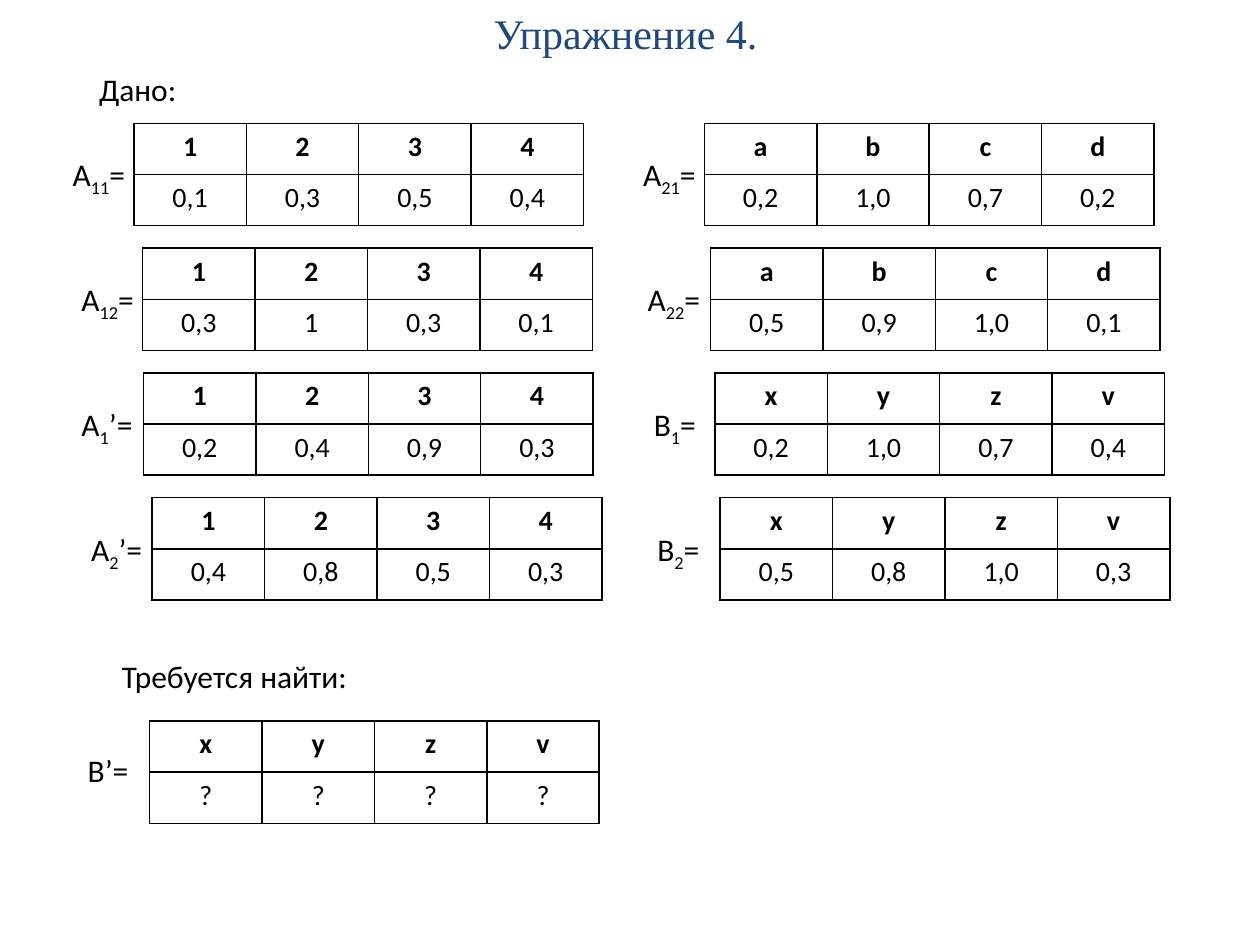
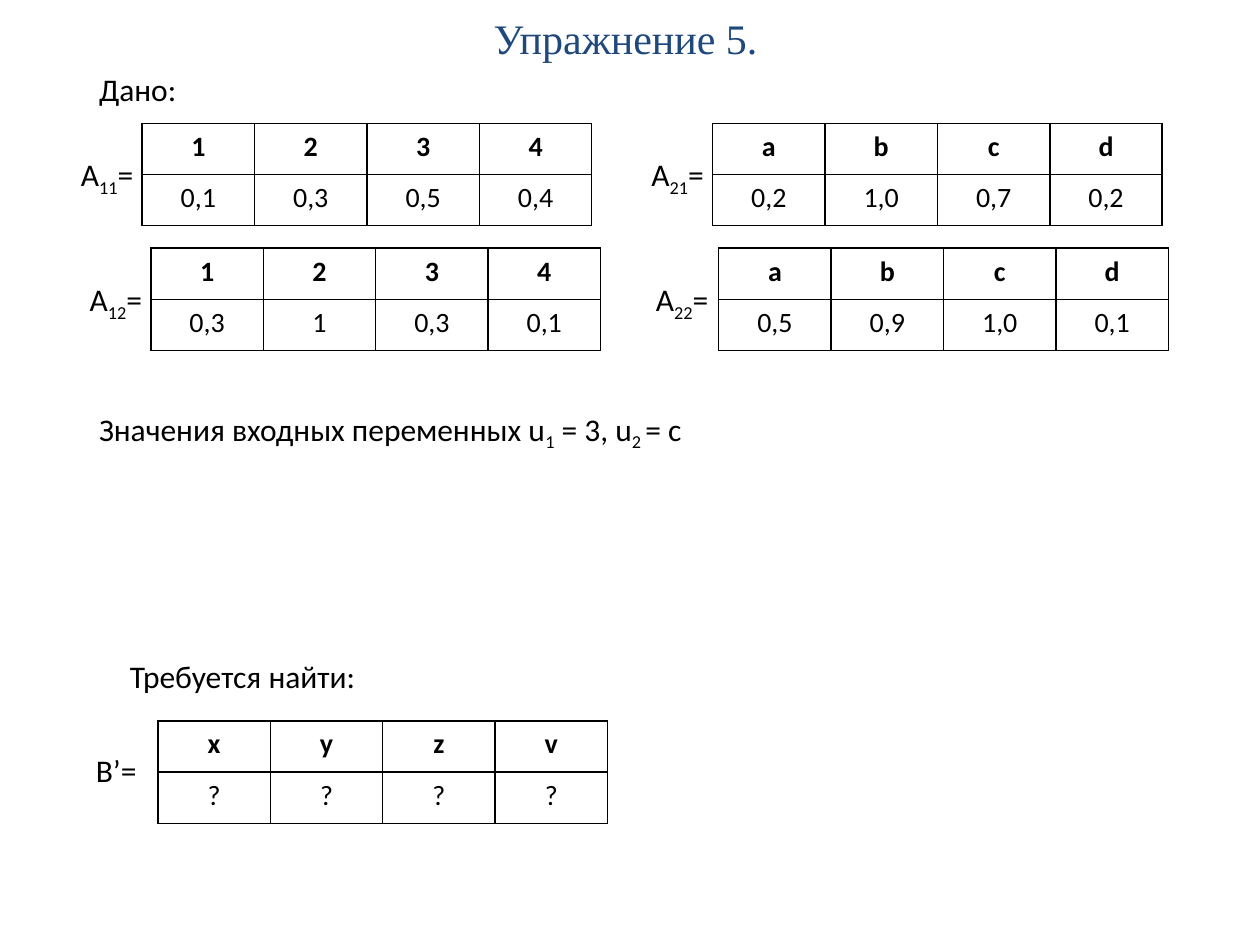
from pptx import Presentation
from pptx.dml.color import RGBColor
from pptx.enum.text import MSO_ANCHOR, MSO_AUTO_SIZE, PP_ALIGN
from pptx.oxml import parse_xml
from pptx.oxml.ns import nsdecls
from pptx.util import Pt

BLACK = RGBColor(0x00, 0x00, 0x00)
WHITE = RGBColor(0xFF, 0xFF, 0xFF)
NAVY = RGBColor(0x1F, 0x49, 0x7D)
BODY_FONT, TITLE_FONT = "Calibri", "Times New Roman"

NUMBERS, LETTERS, OUTPUTS = "1234", "abcd", "xyzv"

# Fuzzy sets: grid row, label, label left, label width, table left, elements, grades.
# Text between underscores is subscript.
RULE_INPUTS = [
    (0, "А_11_=", 34.5, 47, 76.5, NUMBERS, ("0,1", "0,3", "0,5", "0,4")),
    (1, "А_12_=", 39.5, 47, 81.5, NUMBERS, ("0,3", "1", "0,3", "0,1")),
    (0, "A_21_=", 360.5, 47, 402.5, LETTERS, ("0,2", "1,0", "0,7", "0,2")),
    (1, "A_22_=", 363, 47, 406, LETTERS, ("0,5", "0,9", "1,0", "0,1")),
]
FACTS_AND_OUTPUTS = [
    (2, "А_1_’=", 39.5, 45, 82, NUMBERS, ("0,2", "0,4", "0,9", "0,3")),
    (3, "А_2_’=", 45, 45, 87, NUMBERS, ("0,4", "0,8", "0,5", "0,3")),
    (2, "B_1_=", 366.5, 40, 408.5, OUTPUTS, ("0,2", "1,0", "0,7", "0,4")),
    (3, "B_2_=", 368.5, 40, 411.5, OUTPUTS, ("0,5", "0,8", "1,0", "0,3")),
]
UNKNOWN_LABEL, UNKNOWN_GRADES = "B’=", "????"
INPUT_VALUES = "Значения входных переменных u_1_ = 3, u_2 _= c"

# Title, title top and height, shift of the sets to the right, sets, note on inputs.
EXERCISES = [
    ("Упражнение 4. ", 0, 37.5, 0, RULE_INPUTS + FACTS_AND_OUTPUTS, None),
    ("Упражнение 5. ", -0.5, 44, 4.7, RULE_INPUTS, INPUT_VALUES),
]

GRID_TOP, ROW_PITCH = 70.5, 71.3
LABEL_DROP = 14.7
UNKNOWN_TOP = 412
CELL_W, CELL_H = 64.25, 29.25
TEXT_H = 29


def style(font, size, color=BLACK, name=BODY_FONT, bold=False):
    font.name, font.size, font.bold = name, Pt(size), bold
    font.color.rgb = color


def add_text(slide, text, left, top, width, wrap=False):
    """Add a line of text in which parts between underscores are subscript."""
    sp = slide.shapes.add_textbox(Pt(left), Pt(top), Pt(width), Pt(TEXT_H))
    tf = sp.text_frame
    tf.word_wrap = wrap
    tf.auto_size = MSO_AUTO_SIZE.SHAPE_TO_FIT_TEXT
    p = tf.paragraphs[0]
    style(p.font, 18)
    for i, part in enumerate(text.split("_")):
        r = p.add_run()
        r.text = part
        if i % 2:
            r.font._element.set("baseline", "-25000")


def add_borders(cell):
    tc_pr = cell._tc.get_or_add_tcPr()
    for i, side in enumerate(("lnL", "lnR", "lnT", "lnB")):
        tc_pr.insert(i, parse_xml(
            f'<a:{side} {nsdecls("a")} w="{Pt(1)}"><a:solidFill>'
            f'<a:srgbClr val="{BLACK}"/></a:solidFill></a:{side}>'))


def add_set_table(slide, left, top, elements, grades):
    rows = (elements, grades)
    frame = slide.shapes.add_table(len(rows), len(elements), Pt(left), Pt(top),
                                   Pt(CELL_W * len(elements)), Pt(CELL_H * len(rows)))
    table = frame.table
    table.first_row = table.horz_banding = False
    for i, values in enumerate(rows):
        table.rows[i].height = Pt(CELL_H)
        for j, value in enumerate(values):
            table.columns[j].width = Pt(CELL_W)
            cell = table.cell(i, j)
            cell.text = value
            cell.fill.solid()
            cell.fill.fore_color.rgb = WHITE
            add_borders(cell)
            p = cell.text_frame.paragraphs[0]
            p.alignment = PP_ALIGN.CENTER
            style(p.font, 16, bold=i == 0)


def add_title(slide, text, top, height):
    sp = slide.shapes.title
    sp.left, sp.top, sp.width, sp.height = Pt(36.5), Pt(top), Pt(648), Pt(height)
    tf = sp.text_frame
    tf.text = text
    tf.vertical_anchor = MSO_ANCHOR.MIDDLE
    p = tf.paragraphs[0]
    p.alignment = PP_ALIGN.CENTER
    style(p.font, 24, NAVY, TITLE_FONT)


def add_exercise(prs, title, title_top, title_height, shift, sets, note):
    slide = prs.slides.add_slide(prs.slide_layouts[5])
    add_title(slide, title, title_top, title_height)
    add_text(slide, "Дано:", 49.5, 36.5, 59)
    for row, label, label_left, label_w, left, elements, grades in sets:
        top = GRID_TOP + row * ROW_PITCH
        add_text(slide, label, label_left + shift, top + LABEL_DROP, label_w)
        add_set_table(slide, left + shift, top, elements, grades)
    if note:
        add_text(slide, note, 49.5, 230.5, 378, wrap=True)
    add_text(slide, "Требуется найти:", 62.5 + shift, 372, 189, wrap=True)
    add_text(slide, UNKNOWN_LABEL, 43 + shift, UNKNOWN_TOP + LABEL_DROP - 1, 38)
    add_set_table(slide, 85.5 + shift, UNKNOWN_TOP, OUTPUTS, UNKNOWN_GRADES)


def main():
    prs = Presentation()
    prs.slide_width, prs.slide_height = Pt(720), Pt(540)
    for exercise in EXERCISES:
        add_exercise(prs, *exercise)
    prs.save("out.pptx")


if __name__ == "__main__":
    main()
